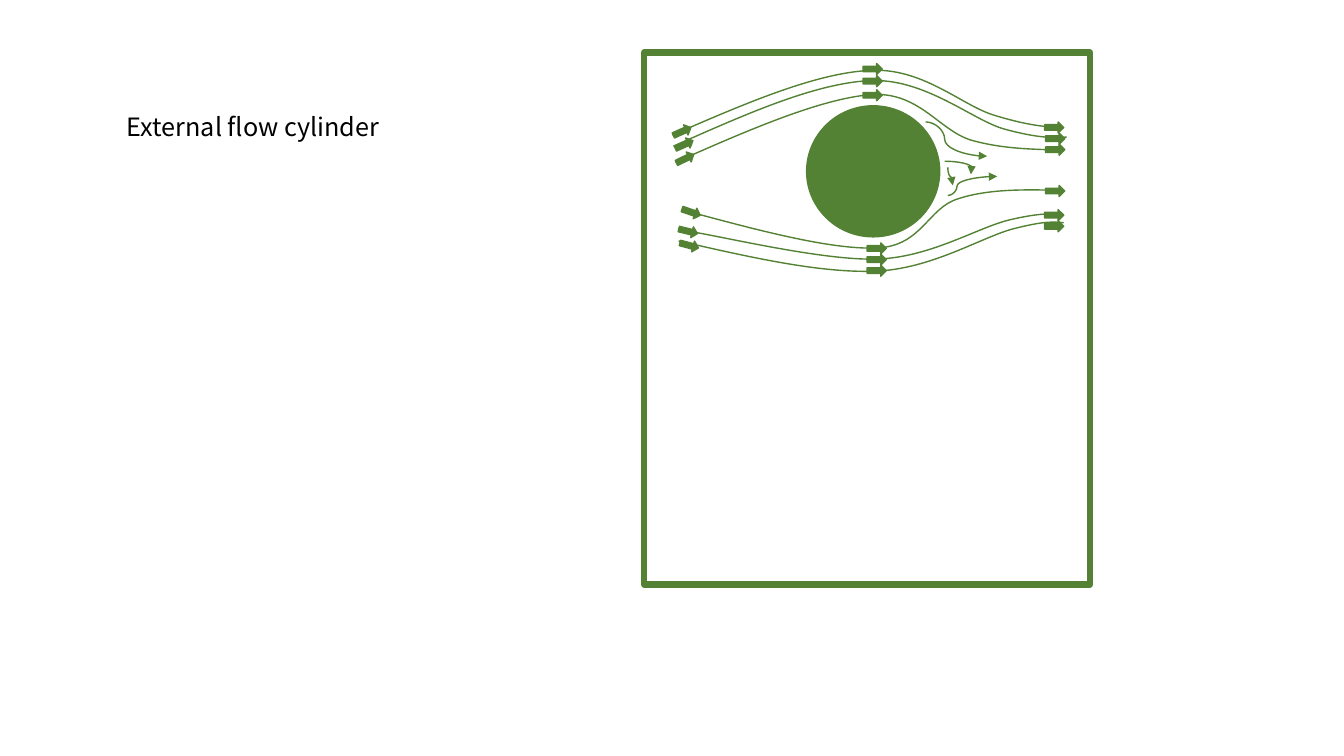
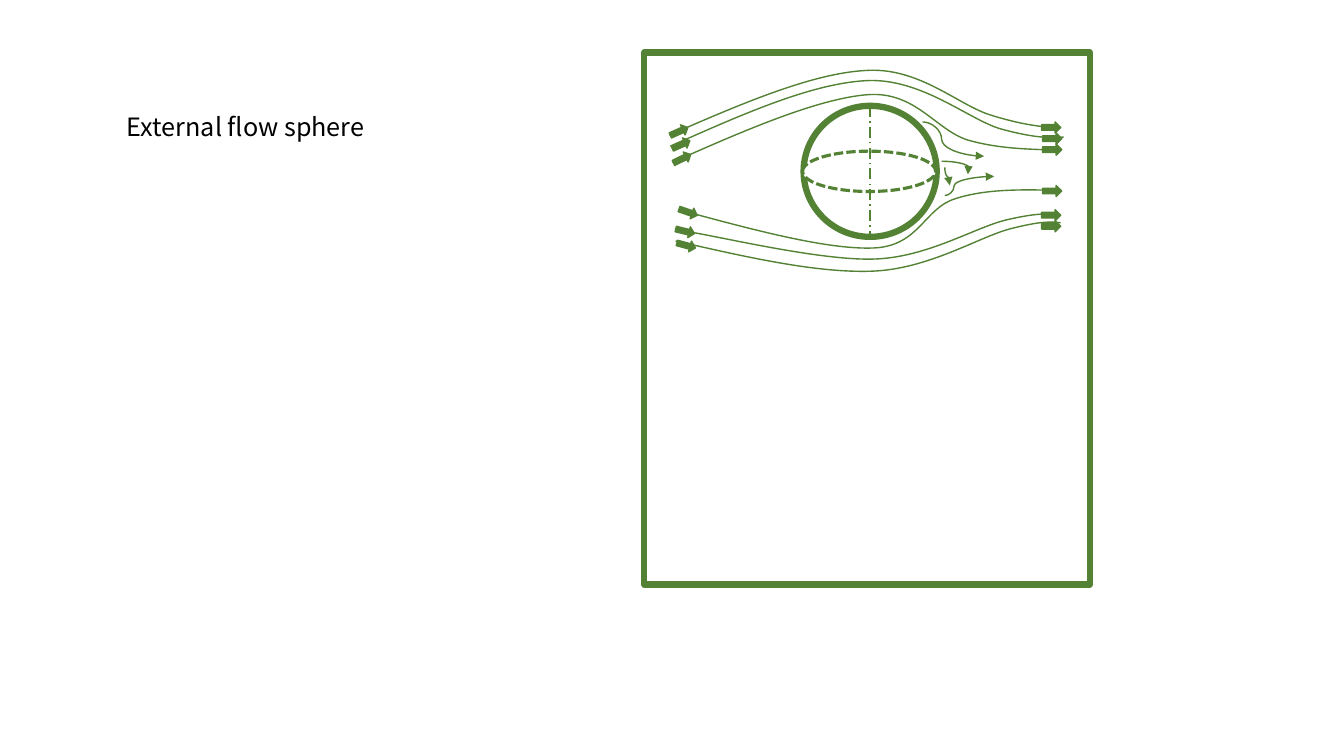
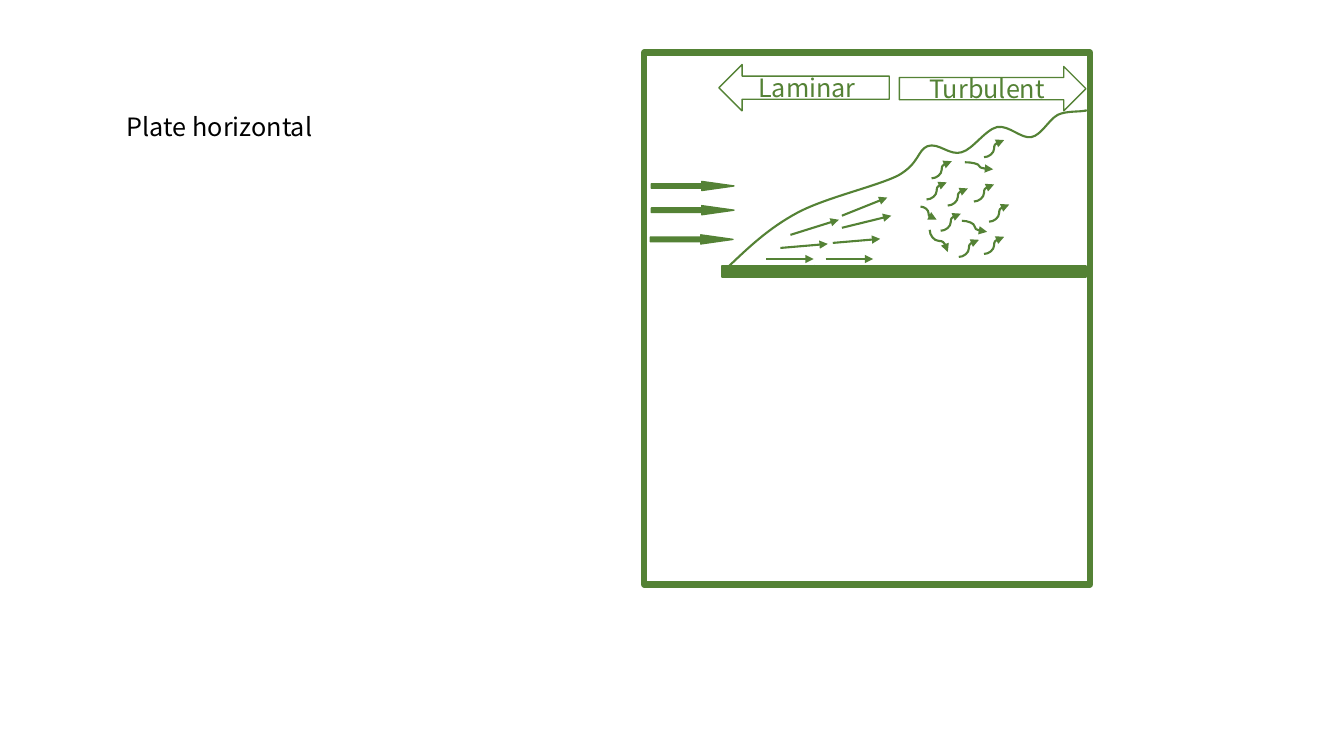
from dataclasses import dataclass

from pptx import Presentation
from pptx import util as u
from pptx.dml import color
from pptx.enum import dml, shapes, text
from pptx.oxml import ns, xmlchemy

PX = 9144


@dataclass(frozen=True)
class Theme:
    """Colours, font, type size and line weights of the deck."""
    green: color.RGBColor = color.RGBColor(0x54, 0x82, 0x35)
    white: color.RGBColor = color.RGBColor(0xFF, 0xFF, 0xFF)
    black: color.RGBColor = color.RGBColor(0, 0, 0)
    font: str = "Noto Sans CJK KR"
    size: float = 18
    thin: float = 1
    medium: float = 1.5
    dashed: float = 2.25
    heavy: float = 4.5


THEME = Theme()
KIND = shapes.MSO_SHAPE
LINK = shapes.MSO_CONNECTOR

STREAMLINES = [
    [(668, 145), (738, 114), (807, 83), (862, 80), (917, 77), (964, 119),
     (996, 128), (1029, 137), (1044, 137), (1058, 136)],
    [(667, 134), (738, 103), (808, 73), (861, 70), (914, 66), (953, 104),
     (985, 114), (1017, 124), (1036, 126), (1055, 127)],
    [(676, 227), (665, 226), (686, 230), (686, 230), (718, 235), (818, 259),
     (871, 257), (924, 255), (971, 225), (1002, 218), (1032, 211),
     (1043, 212), (1054, 213)],
    [(673, 239), (743, 255), (813, 271), (868, 269), (924, 267), (974, 235),
     (1005, 227), (1036, 219), (1045, 220), (1055, 221)],
    [(670, 161), (742, 129), (814, 98), (863, 94), (911, 90), (931, 129),
     (963, 139), (995, 148), (1024, 148), (1054, 149)],
    [(676, 208), (750, 228), (824, 248), (870, 246), (915, 244), (920, 206),
     (951, 197), (982, 187), (1019, 188), (1056, 189)],
]
INLETS = [(673, 224, 13.7), (667, 125, -24.2), (669, 138, -24.2),
          (670, 152, -26.1), (674, 238, 15), (676, 205, 19)]
OUTLETS = [(1036, 121), (1037, 143), (1037, 132), (1037, 184), (1036, 208),
           (1036, 219)]
CREST_ARROWS = [(860, 263), (860, 252), (860, 241), (856, 89), (856, 75),
                (856, 63)]
WAKE = [(918, 121, 979, 155, 0.31), (937, 160, 963, 173, 1.05),
        (940, 194, 989, 175, 0.19)]
BOUNDARY_LAYER = [
    (723, 264), (743, 245), (763, 226), (791, 211), (819, 196), (869, 185),
    (891, 174), (912, 162), (910, 149), (920, 145), (931, 141), (942, 155),
    (954, 151), (965, 148), (977, 129), (989, 126), (1001, 124), (1013, 138),
    (1023, 136), (1033, 134), (1040, 119), (1049, 114), (1057, 110),
    (1070, 111), (1075, 110), (1079, 109), (1077, 110), (1076, 110)]
LAMINAR_ARROWS = [
    (760, 257, 807, 257), (769, 267, 816, 267), (835, 226, 884, 214),
    (835, 214, 880, 196), (784, 233, 832, 218), (826, 241, 873, 237),
    (774, 246, 821, 242), (819, 257, 866, 257)]
RISING_EDDIES = [(924, 177), (919, 198), (933, 229), (940, 204), (966, 200),
                 (981, 220), (976, 252), (951, 255), (976, 156)]
SINKING_EDDIES = [(913, 205, 929, 218), (954, 219, 979, 230),
                  (957, 161, 985, 168)]


def px(length):
    """Turn px into EMU."""
    return u.Emu(int(length * PX))


def set_line(item, weight, dash=None):
    """Give a shape or connector its green line."""
    item.line.color.rgb = THEME.green
    item.line.width = u.Pt(weight)
    if dash is not None:
        item.line.dash_style = dash


def write(box, words, ink):
    """Write one line of text in the deck's font."""
    para = box.text_frame.paragraphs[0]
    para.text = words
    para.font.name = THEME.font
    para.font.size = u.Pt(THEME.size)
    para.font.color.rgb = ink
    return para


def add_preset(canvas, kind, at, fill, weight=THEME.thin, dash=None, turn=0):
    """Add an outlined preset shape."""
    shape = canvas.add_shape(kind, *map(px, at))
    shape.shadow.inherit = False
    shape.fill.solid()
    shape.fill.fore_color.rgb = fill
    shape.rotation = turn
    set_line(shape, weight, dash)
    return shape


def add_flow_arrow(canvas, left, top, turn=0):
    """Add a small block arrow that marks the flow direction."""
    add_preset(canvas, KIND.RIGHT_ARROW, (left, top, 19, 11), THEME.green,
               turn=turn)


def add_curve(canvas, points, weight=THEME.thin):
    """Add an open Bezier outline from a start and triples of points."""
    builder = canvas.build_freeform(*points[0], scale=PX)
    builder.add_line_segments(points[1:], close=False)
    shape = builder.convert_to_shape()
    shape.shadow.inherit = False
    shape.fill.background()
    set_line(shape, weight)
    steps = list(shape.element.iter(ns.qn("a:lnTo")))
    for start in range(0, len(steps), 3):
        bezier = xmlchemy.OxmlElement("a:cubicBezTo")
        steps[start].addprevious(bezier)
        for step in steps[start:start + 3]:
            bezier.append(step[0])
            step.getparent().remove(step)


def add_link(canvas, kind, ends, weight, dash=None, arrow=True):
    """Add a connector, with an arrowhead at its end if wanted."""
    link = canvas.add_connector(kind, *map(px, ends))
    set_line(link, weight, dash)
    properties = link.element.spPr
    if arrow:
        head = xmlchemy.OxmlElement("a:tailEnd")
        head.set("type", "triangle")
        properties.get_or_add_ln().append(head)
    properties.append(xmlchemy.OxmlElement("a:effectLst"))
    return link


def add_eddy(canvas, ends, weight, bend=0.5):
    """Add a curved arrow that leaves sideways and bends at a share of its width."""
    link = add_link(canvas, LINK.CURVE, ends, weight)
    guide = xmlchemy.OxmlElement("a:gd")
    guide.set("name", "adj1")
    guide.set("fmla", f"val {round(bend * 100000)}")
    link.element.spPr.find(ns.qn("a:prstGeom")).get_or_add_avLst().append(guide)


def add_falling_eddy(canvas, ends, weight):
    """Add a curved arrow that leaves downwards, as a turned connector."""
    x1, y1, x2, y2 = ends
    middle_x, middle_y = (x1 + x2) / 2, (y1 + y2) / 2
    half_width, half_height = (y2 - y1) / 2, (x2 - x1) / 2
    turned = (middle_x + half_width, middle_y - half_height,
              middle_x - half_width, middle_y + half_height)
    link = add_link(canvas, LINK.CURVE, turned, weight)
    link.element.spPr.find(ns.qn("a:xfrm")).set("rot", "16200000")


def add_page(deck, title):
    """Add a slide with its title and green frame."""
    page = deck.slides.add_slide(deck.slide_layouts[6])
    add_preset(page.shapes, KIND.RECTANGLE, (639, 52, 442, 528), THEME.white,
               THEME.heavy)
    box = page.shapes.add_textbox(*map(px, (116, 106, 341, 40)))
    box.text_frame.word_wrap = True
    box.text_frame.auto_size = text.MSO_AUTO_SIZE.SHAPE_TO_FIT_TEXT
    write(box, title, THEME.black)
    return page


def add_flow_field(canvas, shift=0):
    """Draw the streamlines, flow arrows and wake around a round body."""
    for points in STREAMLINES:
        add_curve(canvas, [(x + shift, y) for x, y in points])
    for left, top, turn in INLETS:
        add_flow_arrow(canvas, left + shift, top, turn)
    for left, top in OUTLETS:
        add_flow_arrow(canvas, left + shift, top)
    for x1, y1, x2, y2, bend in WAKE:
        add_eddy(canvas, (x1 + shift, y1, x2 + shift, y2), THEME.thin, bend)
    add_falling_eddy(canvas, (940 + shift, 166, 945 + shift, 184), THEME.thin)


def add_region(canvas, kind, at, name):
    """Add a labelled block arrow for a flow region."""
    shape = add_preset(canvas, kind, at, THEME.white)
    shape.text_frame.vertical_anchor = text.MSO_ANCHOR.MIDDLE
    write(shape, name, THEME.green).alignment = text.PP_ALIGN.CENTER


def build_cylinder(deck):
    """Build the slide on flow past a cylinder."""
    page = add_page(deck, "External flow cylinder")
    canvas = page.shapes.add_group_shape().shapes
    add_preset(canvas, KIND.OVAL, (800, 105, 132, 130), THEME.green)
    add_flow_field(canvas)
    for left, top in CREST_ARROWS:
        add_flow_arrow(page.shapes, left, top)


def build_sphere(deck):
    """Build the slide on flow past a sphere."""
    page = add_page(deck, "External flow sphere")
    canvas = page.shapes.add_group_shape().shapes
    add_preset(canvas, KIND.OVAL, (797, 105, 132, 130), THEME.white,
               THEME.heavy)
    add_flow_field(canvas, shift=-3)
    add_preset(canvas, KIND.OVAL, (796, 150, 132, 40), THEME.white,
               THEME.dashed, dml.MSO_LINE.SQUARE_DOT)
    add_link(canvas, LINK.STRAIGHT, (863, 105, 863, 235), THEME.thin,
             dml.MSO_LINE.LONG_DASH_DOT, arrow=False)


def build_plate(deck):
    """Build the slide on flow along a horizontal plate."""
    page = add_page(deck, "Plate horizontal")
    canvas = page.shapes.add_group_shape().shapes
    add_preset(canvas, KIND.RECTANGLE, (716, 264, 361, 11), THEME.green)
    for left, top in [(646, 180), (646, 204), (645, 233)]:
        stream = add_preset(canvas, KIND.RIGHT_ARROW, (left, top, 82, 9),
                            THEME.green)
        stream.adjustments[1] = 3.55
    for ends in LAMINAR_ARROWS:
        add_link(canvas, LINK.STRAIGHT, ends, THEME.medium)
    add_curve(canvas, BOUNDARY_LAYER, THEME.medium)
    rising = [(x, y, x + 20, y - 17) for x, y in RISING_EDDIES]
    for ends in rising + SINKING_EDDIES:
        add_eddy(canvas, ends, THEME.medium)
    add_falling_eddy(canvas, (922, 228, 940, 250), THEME.medium)
    add_region(canvas, KIND.RIGHT_ARROW, (892, 66, 185, 44), "Turbulent")
    add_region(canvas, KIND.LEFT_ARROW, (713, 64, 169, 46), "Laminar ")


def main():
    """Build and save the deck."""
    deck = Presentation()
    deck.slide_width, deck.slide_height = px(1333), px(750)
    build_cylinder(deck)
    build_sphere(deck)
    build_plate(deck)
    deck.save("out.pptx")


if __name__ == "__main__":
    main()
